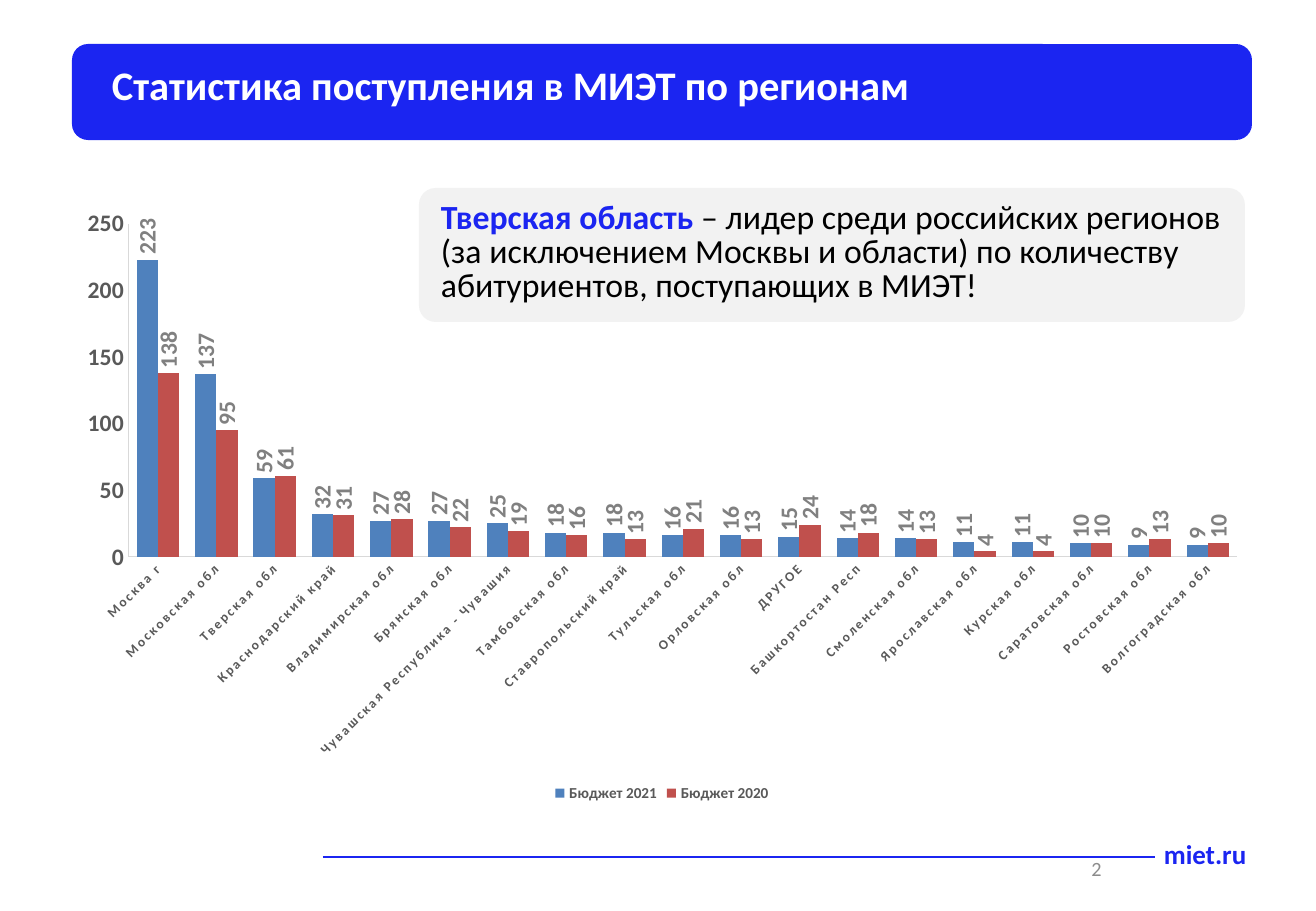
from lxml import etree
from pptx import Presentation
from pptx.chart.data import CategoryChartData
from pptx.dml.color import RGBColor
from pptx.enum.chart import XL_CHART_TYPE, XL_LABEL_POSITION, XL_LEGEND_POSITION, XL_TICK_MARK
from pptx.enum.shapes import MSO_CONNECTOR, MSO_SHAPE
from pptx.enum.text import MSO_ANCHOR, PP_ALIGN
from pptx.oxml import parse_xml
from pptx.oxml.ns import nsdecls, qn
from pptx.util import Pt

COLUMNS = XL_CHART_TYPE.COLUMN_CLUSTERED
OUTSIDE_END = XL_LABEL_POSITION.OUTSIDE_END
LEGEND_BOTTOM = XL_LEGEND_POSITION.BOTTOM
NO_TICK = XL_TICK_MARK.NONE
STRAIGHT = MSO_CONNECTOR.STRAIGHT
ROUNDED = MSO_SHAPE.ROUNDED_RECTANGLE
TOP, MIDDLE = MSO_ANCHOR.TOP, MSO_ANCHOR.MIDDLE
LEFT, CENTER = PP_ALIGN.LEFT, PP_ALIGN.CENTER

BLUE = RGBColor(0x1B, 0x25, 0xF1)
WHITE = RGBColor(0xFF, 0xFF, 0xFF)
BLACK = RGBColor(0, 0, 0)
PALE = RGBColor(0xF2, 0xF2, 0xF2)
AXIS_TEXT = RGBColor(0x59, 0x59, 0x59)
AXIS_LINE = RGBColor(0xD9, 0xD9, 0xD9)
LABEL_GRAY = RGBColor(0x80, 0x80, 0x80)
PAGE_GRAY = RGBColor(0x8C, 0x8C, 0x8C)
BAR_BLUE = RGBColor(0x4F, 0x81, 0xBD)
BAR_RED = RGBColor(0xC0, 0x50, 0x4D)

FONT = "Calibri"
TITLE = "Статистика поступления в МИЭТ по регионам"
CALLOUT = [
    ("Тверская область ", BLUE, True),
    ("– лидер среди российских регионов (за исключением Москвы и области) "
     "по количеству абитуриентов, поступающих в МИЭТ!", BLACK, False),
]
SITE = "miet.ru"
PAGE = "2"
YEARS = [("Бюджет 2021", BAR_BLUE), ("Бюджет 2020", BAR_RED)]
REGIONS = [
    ("Москва г", 223, 138),
    ("Московская обл", 137, 95),
    ("Тверская обл", 59, 61),
    ("Краснодарский край", 32, 31),
    ("Владимирская обл", 27, 28),
    ("Брянская обл", 27, 22),
    ("Чувашская Республика - Чувашия", 25, 19),
    ("Тамбовская обл", 18, 16),
    ("Ставропольский край", 18, 13),
    ("Тульская обл", 16, 21),
    ("Орловская обл", 16, 13),
    ("ДРУГОЕ", 15, 24),
    ("Башкортостан Респ", 14, 18),
    ("Смоленская обл", 14, 13),
    ("Ярославская обл", 11, 4),
    ("Курская обл", 11, 4),
    ("Саратовская обл", 10, 10),
    ("Ростовская обл", 9, 13),
    ("Волгоградская обл", 9, 10),
]

EMU_PER_PX = 7526
SLIDE_SIZE = (1316, 911)
BANNER_BOX = (72, 44, 1180, 96)
TITLE_BOX = (103, 63, 823, 51)
PANEL_BOX = (419, 188, 826, 134)
CALLOUT_BOX = (422, 197, 832, 113)
CHART_BOX = (63, 197, 1198, 610)
PLOT_BOX = (129, 224, 1108, 333)
RULE = (323, 857, 1155, 857)
SITE_BOX = (1155, 838, 106, 36)
PAGE_BOX = (943, 844, 307, 49)


def px(*lengths):
    return [length * EMU_PER_PX for length in lengths]


def style_font(font, size, color, bold=True):
    font.name = FONT
    font.size = Pt(size)
    font.bold = bold
    font.color.rgb = color


def write(shape, runs, size, anchor=TOP, align=LEFT, spacing=0.84):
    frame = shape.text_frame
    frame.word_wrap = True
    frame.vertical_anchor = anchor
    frame.margin_left, frame.margin_right = px(9, 9)
    frame.margin_top, frame.margin_bottom = px(5, 5)
    paragraph = frame.paragraphs[0]
    paragraph.alignment = align
    paragraph.line_spacing = spacing
    for text, color, bold in runs:
        run = paragraph.add_run()
        run.text = text
        style_font(run.font, size, color, bold)
    return paragraph


def add_panel(slide, box, color, corner):
    panel = slide.shapes.add_shape(ROUNDED, *px(*box))
    panel.adjustments[0] = corner
    panel.shadow.inherit = False
    panel.fill.solid()
    panel.fill.fore_color.rgb = color
    panel.line.fill.background()
    return panel


def rotate_text(owner, degrees):
    body = owner.find(qn("c:txPr")).find(qn("a:bodyPr"))
    body.set("rot", str(degrees * 60000))
    body.set("vert", "horz")


def place_plot(chart):
    left, top, width, height = CHART_BOX
    x, y, w, h = PLOT_BOX
    shares = {"x": (x - left) / width, "y": (y - top) / height, "w": w / width, "h": h / height}
    plot_area = chart.plots[0]._element.getparent()
    for old in plot_area.findall(qn("c:layout")):
        plot_area.remove(old)
    layout = parse_xml(f"<c:layout {nsdecls('c')}><c:manualLayout>"
                       '<c:layoutTarget val="inner"/><c:xMode val="edge"/><c:yMode val="edge"/>'
                       "</c:manualLayout></c:layout>")
    for name, share in shares.items():
        etree.SubElement(layout[0], qn(f"c:{name}")).set("val", f"{share:.3f}")
    plot_area.insert(0, layout)


def add_admissions_chart(slide):
    regions, *counts = zip(*REGIONS)
    data = CategoryChartData()
    data.categories = regions
    for (year, _), values in zip(YEARS, counts):
        data.add_series(year, values)
    chart = slide.shapes.add_chart(COLUMNS, *px(*CHART_BOX), data).chart
    chart.has_title = False
    style_font(chart.font, 10, BLACK, False)

    plot = chart.plots[0]
    plot.gap_width = 75
    plot.overlap = 0
    plot.vary_by_categories = False
    for series, (_, color) in zip(plot.series, YEARS):
        series.format.fill.solid()
        series.format.fill.fore_color.rgb = color
        labels = series.data_labels
        labels.show_value = True
        labels.position = OUTSIDE_END
        style_font(labels.font, 14, LABEL_GRAY)
        rotate_text(labels._element, -90)

    for axis, size in ((chart.category_axis, 8), (chart.value_axis, 14)):
        axis.has_major_gridlines = False
        axis.major_tick_mark = axis.minor_tick_mark = NO_TICK
        axis.format.line.color.rgb = AXIS_LINE
        axis.format.line.width = Pt(0.75)
        style_font(axis.tick_labels.font, size, AXIS_TEXT)
    chart.value_axis.minimum_scale = 0
    chart.value_axis.maximum_scale = 250
    chart.value_axis.major_unit = 50
    region_axis = chart.category_axis._element
    rotate_text(region_axis, -45)
    next(region_axis.iter(qn("a:defRPr"))).set("spc", "120")

    chart.has_legend = True
    chart.legend.position = LEGEND_BOTTOM
    chart.legend.include_in_layout = False
    style_font(chart.legend.font, 9, AXIS_TEXT)
    place_plot(chart)


def main():
    deck = Presentation()
    deck.slide_width, deck.slide_height = px(*SLIDE_SIZE)
    slide = deck.slides.add_slide(deck.slide_layouts[5])

    add_panel(slide, PANEL_BOX, PALE, 0.124)
    banner = add_panel(slide, BANNER_BOX, BLUE, 0.1667)
    title = slide.shapes.title
    title.left, title.top, title.width, title.height = px(*TITLE_BOX)
    write(title, [(TITLE, WHITE, True)], 24)
    banner.element.addnext(title.element)

    add_admissions_chart(slide)

    callout = write(slide.shapes.add_textbox(*px(*CALLOUT_BOX)), CALLOUT, 20, MIDDLE)
    callout._p.get_or_add_pPr().set("marL", str(10 * EMU_PER_PX))

    rule = slide.shapes.add_connector(STRAIGHT, *px(*RULE))
    rule.line.color.rgb = BLUE
    rule.line.width = Pt(0.75)
    etree.SubElement(rule.element.spPr, qn("a:effectLst"))

    write(slide.shapes.add_textbox(*px(*SITE_BOX)), [(SITE, BLUE, True)], 16)
    write(slide.shapes.add_textbox(*px(*PAGE_BOX)), [(PAGE, PAGE_GRAY, False)], 12, MIDDLE, CENTER, 1.0)
    deck.save("out.pptx")


if __name__ == "__main__":
    main()
